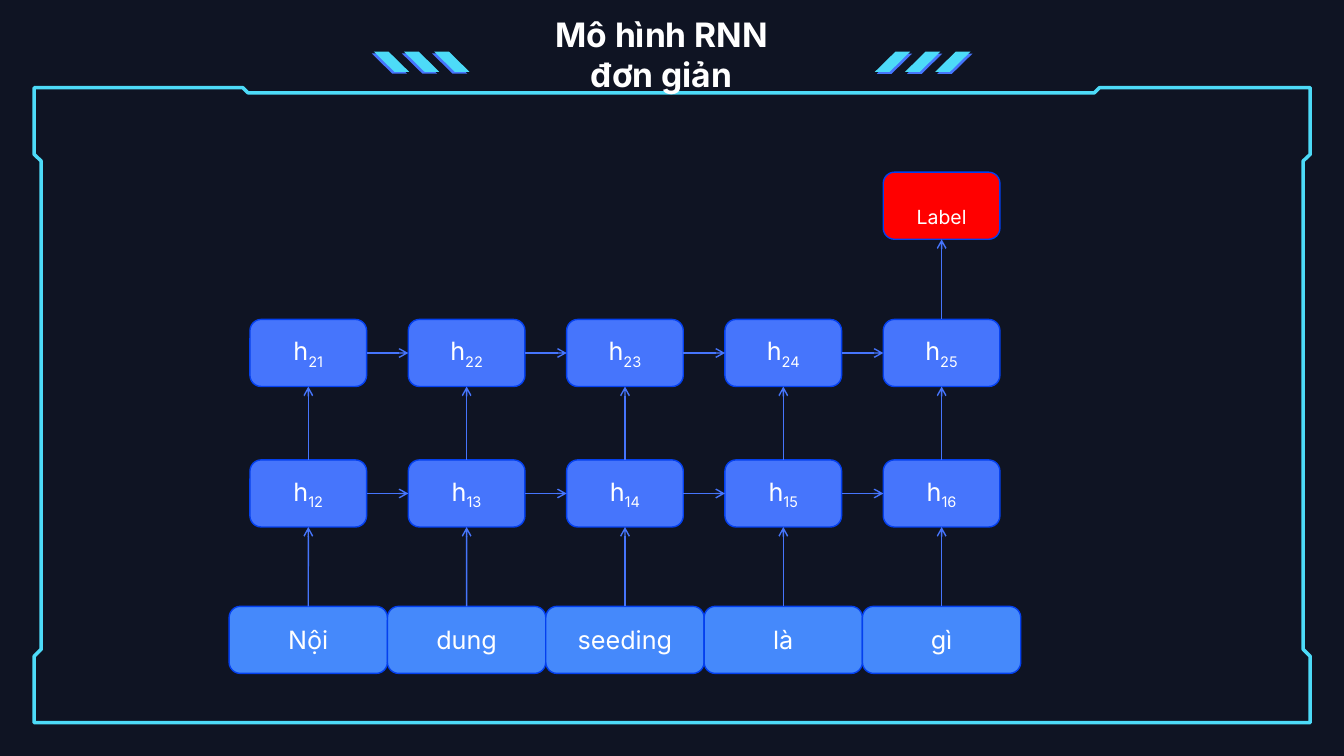
from itertools import pairwise

from lxml.etree import SubElement
from pptx import Presentation
from pptx.dml.color import RGBColor
from pptx.enum.shapes import MSO_CONNECTOR, MSO_SHAPE
from pptx.enum.text import MSO_ANCHOR, PP_ALIGN
from pptx.oxml.ns import qn
from pptx.util import Cm, Pt

NAVY, WHITE, RED = "0F1423", "FFFFFF", "FF0000"
CYAN, BLUE, WORD_BLUE, EDGE = "4DDBF8", "4675FC", "4589FB", "0440EE"
TOP, LEFT, BOTTOM, RIGHT = range(4)

WORDS = ["Nội", "dung", "seeding", "là", "gì"]
FIRST_CENTER, PITCH = 7.77, 3.99
BOX_HEIGHT, CELL_WIDTH = 1.69, 2.94
WORD_TOP, LOWER_TOP, UPPER_TOP, LABEL_TOP = 15.28, 11.59, 8.05, 4.34

FRAME = [
    (33.02, 18.21), (0.86, 18.21), (0.86, 16.54), (1.04, 16.36),
    (1.04, 4.06), (0.86, 3.89), (0.86, 2.21), (6.12, 2.21),
    (6.25, 2.34), (27.58, 2.34), (27.71, 2.21), (33.02, 2.21),
    (33.02, 3.89), (32.84, 4.06), (32.84, 16.36), (33.02, 16.54),
]


def rgb(value):
    return RGBColor.from_string(value)


def add_text(p, text, size=18, bold=False, subscript=False):
    r = p.add_run()
    r.text = text
    r.font.name = "Inter"
    r.font.size = Pt(size)
    r.font.bold = bold
    r.font.color.rgb = rgb(WHITE)
    if subscript:
        r.font._element.set("baseline", "-25000")


def style_line(line, color, width):
    line.color.rgb = rgb(color)
    line.width = Pt(width)


def add_frame(slide):
    points = [(Cm(x), Cm(y)) for x, y in FRAME]
    builder = slide.shapes.build_freeform(*points[0])
    builder.add_line_segments(points[1:], close=True)
    sp = builder.convert_to_shape()
    sp.shadow.inherit = False
    sp.fill.background()
    style_line(sp.line, CYAN, 2.5)


def add_title(slide, *lines):
    sp = slide.shapes.add_textbox(Cm(12.52), Cm(0.23), Cm(8.31), Cm(2.59))
    tf = sp.text_frame
    tf.word_wrap = True
    p = tf.paragraphs[0]
    p.alignment = PP_ALIGN.CENTER
    for i, line in enumerate(lines):
        if i:
            p.add_line_break()
        add_text(p, line, size=24, bold=True)


def add_box(slide, column, top, width, fill):
    """Add a rounded box centred on a time step; return it and its paragraph."""
    left = FIRST_CENTER + column * PITCH - width / 2
    sp = slide.shapes.add_shape(MSO_SHAPE.ROUNDED_RECTANGLE,
                                Cm(left), Cm(top), Cm(width), Cm(BOX_HEIGHT))
    sp.shadow.inherit = False
    sp.fill.solid()
    sp.fill.fore_color.rgb = rgb(fill)
    style_line(sp.line, EDGE, 1)
    tf = sp.text_frame
    tf.word_wrap = True
    tf.vertical_anchor = MSO_ANCHOR.MIDDLE
    p = tf.paragraphs[0]
    p.alignment = PP_ALIGN.CENTER
    return sp, p


def add_words(slide):
    boxes = []
    for column, word in enumerate(WORDS):
        sp, p = add_box(slide, column, WORD_TOP, PITCH, WORD_BLUE)
        add_text(p, word)
        boxes.append(sp)
    return boxes


def add_hidden_layer(slide, top, first_index):
    boxes = []
    for column in range(len(WORDS)):
        sp, p = add_box(slide, column, top, CELL_WIDTH, BLUE)
        add_text(p, "h")
        add_text(p, str(first_index + column), subscript=True)
        boxes.append(sp)
    return boxes


def add_label(slide):
    sp, p = add_box(slide, len(WORDS) - 1, LABEL_TOP, CELL_WIDTH, RED)
    add_text(p, "Label", size=24, subscript=True)
    return sp


def add_arrow(slide, source, source_side, target, target_side):
    line = slide.shapes.add_connector(MSO_CONNECTOR.STRAIGHT, 0, 0, 0, 0)
    line.begin_connect(source, source_side)
    line.end_connect(target, target_side)
    style_line(line.line, BLUE, 1)
    SubElement(line.line._get_or_add_ln(), qn("a:tailEnd"), type="arrow")
    SubElement(line._element.spPr, qn("a:effectLst"))


def add_stripes(slide, left, shade_shift, mirrored):
    """Add three slanted stripes, each over a darker one set off by shade_shift."""
    group = slide.shapes.add_group_shape()
    for color, x, y in ((BLUE, left + shade_shift, 1.35), (CYAN, left, 1.3)):
        for i in range(3):
            sp = group.shapes.add_shape(MSO_SHAPE.PARALLELOGRAM,
                                        Cm(x + i * 0.76), Cm(y), Cm(0.89), Cm(0.51))
            sp.adjustments[0] = 1.018
            sp.shadow.inherit = False
            sp.fill.solid()
            sp.fill.fore_color.rgb = rgb(color)
            sp.line.fill.background()
            if mirrored:
                sp._element.spPr.xfrm.set("flipV", "1")


def main():
    prs = Presentation()
    prs.slide_width, prs.slide_height = Cm(33.87), Cm(19.05)
    slide = prs.slides.add_slide(prs.slide_layouts[6])
    slide.background.fill.solid()
    slide.background.fill.fore_color.rgb = rgb(NAVY)

    add_frame(slide)
    add_title(slide, "Mô hình RNN", "đơn giản")

    words = add_words(slide)
    lower = add_hidden_layer(slide, LOWER_TOP, 12)
    upper = add_hidden_layer(slide, UPPER_TOP, 21)
    label = add_label(slide)

    for word, low, high in zip(words, lower, upper):
        add_arrow(slide, word, TOP, low, BOTTOM)
        add_arrow(slide, low, TOP, high, BOTTOM)
    add_arrow(slide, upper[-1], TOP, label, BOTTOM)
    for layer in (lower, upper):
        for cell, following in pairwise(layer):
            add_arrow(slide, cell, RIGHT, following, LEFT)

    add_stripes(slide, 9.42, -0.05, mirrored=True)
    add_stripes(slide, 22.05, 0.05, mirrored=False)
    prs.save("out.pptx")


if __name__ == "__main__":
    main()
